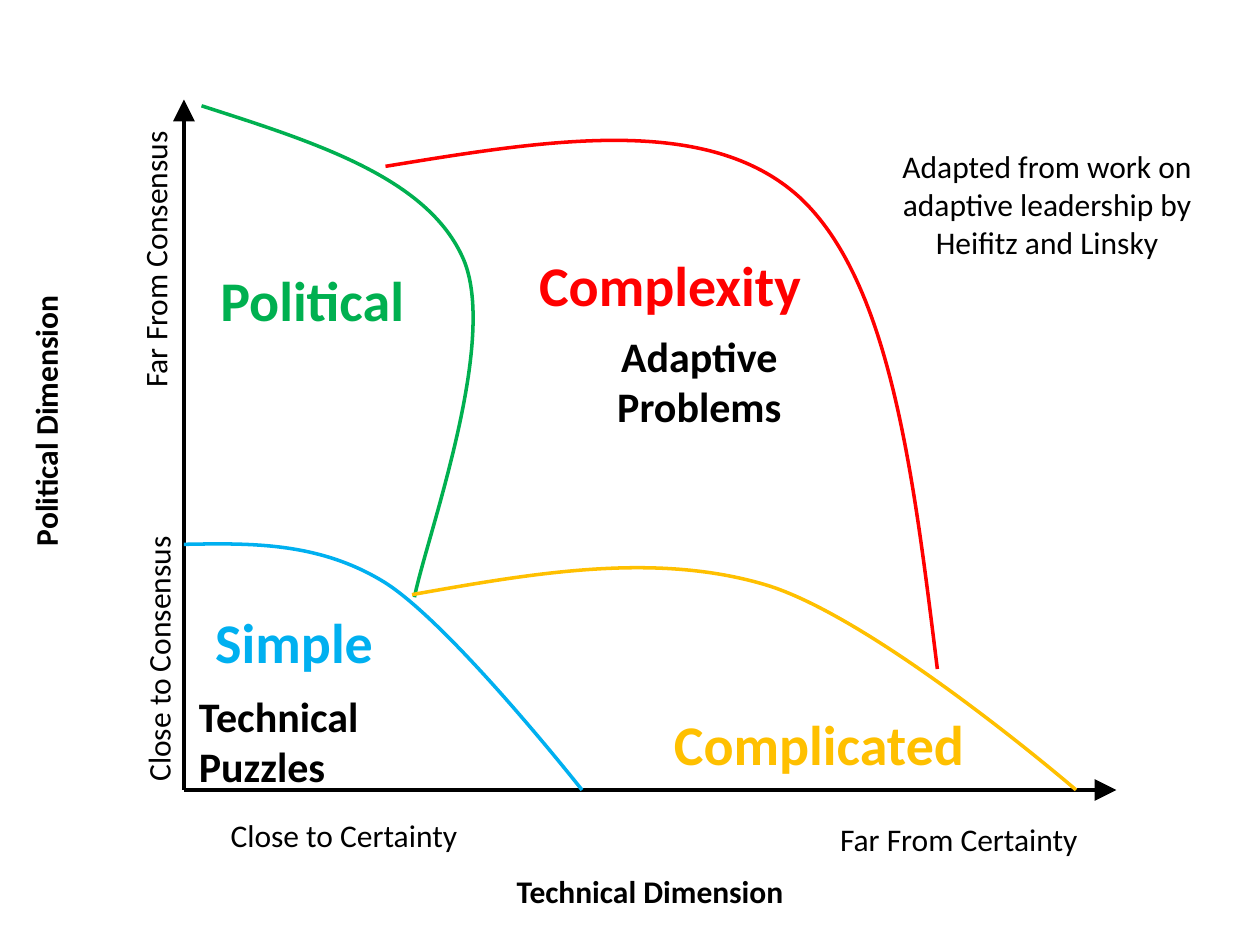
"""Build the slide on political and technical dimensions of problems."""
from lxml.etree import SubElement
from pptx import Presentation
from pptx.dml.color import RGBColor
from pptx.enum.shapes import MSO_CONNECTOR
from pptx.enum.text import MSO_AUTO_SIZE, PP_ALIGN
from pptx.oxml.ns import qn
from pptx.util import Inches, Pt

BLACK, BLUE, GREEN, AMBER, RED = "000000", "00B0F0", "00B050", "FFC000", "FF0000"


def style_line(line, color, width):
    line.color.rgb = RGBColor.from_string(color)
    line.width = Pt(width)


def add_label(page, text, left, top, width, height, size=18, bold=False,
              color=BLACK, align=PP_ALIGN.CENTER, rotation=0):
    box = page.shapes.add_textbox(Inches(left), Inches(top), Inches(width), Inches(height))
    box.rotation = rotation
    frame = box.text_frame
    frame.word_wrap = True
    frame.auto_size = MSO_AUTO_SIZE.SHAPE_TO_FIT_TEXT
    para = frame.paragraphs[0]
    para.alignment = align
    span = para.add_run()
    span.text = text
    span.font.name = "Calibri"
    span.font.size = Pt(size)
    span.font.bold = bold
    span.font.color.rgb = RGBColor.from_string(color)


deck = Presentation()
deck.slide_width, deck.slide_height = Inches(10), Inches(7.5)
page = deck.slides.add_slide(deck.slide_layouts[6])

origin_x, origin_y = 1.46, 6.27
for end_x, end_y in [(origin_x, 0.79), (8.86, origin_y)]:
    axis = page.shapes.add_connector(MSO_CONNECTOR.STRAIGHT, Inches(origin_x),
                                     Inches(origin_y), Inches(end_x), Inches(end_y))
    style_line(axis.line, BLACK, 2.5)
    SubElement(axis.line._get_or_add_ln(), qn("a:tailEnd"), type="triangle", w="lg", len="lg")
    SubElement(axis._element.spPr, qn("a:effectLst"))

boundaries = [
    (BLUE, (1.46, 4.32, 3.16, 1.95),
     [(1.46, 4.32), (1.99, 4.31), (2.53, 4.3), (3.05, 4.62),
      (3.58, 4.95), (4.62, 6.27), (4.62, 6.27)]),
    (GREEN, (1.6, 0.84, 2.16, 3.9),
     [(1.6, 0.84), (2.5, 1.13), (3.4, 1.41), (3.68, 2.06),
      (3.96, 2.72), (3.38, 4.28), (3.29, 4.74)]),
    (AMBER, (3.27, 4.51, 5.27, 1.76),
     [(3.27, 4.72), (4.23, 4.55), (5.19, 4.38), (6.07, 4.64),
      (6.95, 4.9), (8.54, 6.27), (8.54, 6.27)]),
    (RED, (3.06, 1.12, 4.37, 4.19),
     [(3.06, 1.32), (4.34, 1.11), (5.61, 0.9), (6.34, 1.56),
      (7.07, 2.23), (7.25, 3.77), (7.44, 5.31)]),
]
for color, (left, top, width, height), controls in boundaries:
    builder = page.shapes.build_freeform(Inches(left), Inches(top))
    builder.add_line_segments([(Inches(left + width), Inches(top + height))], close=False)
    curve = builder.convert_to_shape()
    outline = next(curve._element.iter(qn("a:path")))
    for command in list(outline):
        outline.remove(command)
    for name, points in [("a:moveTo", controls[:1]), ("a:cubicBezTo", controls[1:4]),
                         ("a:cubicBezTo", controls[4:])]:
        command = SubElement(outline, qn(name))
        for x, y in points:
            SubElement(command, qn("a:pt"), x=str(Inches(x - left)), y=str(Inches(y - top)))
    curve.fill.background()
    curve.shadow.inherit = False
    style_line(curve.line, color, 2)

for text, left, top, width, bold, rotation in [
    ("Far From Certainty", 6.34, 6.46, 2.54, False, 0),
    ("Close to Certainty", 1.46, 6.43, 2.54, False, 0),
    ("Technical Dimension", 3.89, 6.87, 2.54, True, 0),
    ("Political Dimension", -0.91, 3.14, 2.54, True, 270),
    ("Far From Consensus", -0.04, 1.86, 2.54, False, 270),
    ("Close to Consensus", 0.06, 5.03, 2.39, False, 270),
]:
    add_label(page, text, left, top, width, 0.4, bold=bold, rotation=rotation)

add_label(page, "Adapted from work on adaptive leadership by Heifitz and Linsky",
          6.97, 1.12, 2.68, 1.01)

for text, left, top, width, color in [
    ("Simple", 1.61, 4.77, 1.65, BLUE),
    ("Political", 1.65, 2.06, 1.93, GREEN),
    ("Complicated", 5.25, 5.58, 2.51, AMBER),
    ("Complexity", 4.18, 1.94, 2.32, RED),
]:
    add_label(page, text, left, top, width, 0.64, 32, True, color, PP_ALIGN.LEFT)

for text, left, top, align in [
    ("Technical Puzzles", 1.48, 5.43, PP_ALIGN.LEFT),
    ("Adaptive Problems", 4.29, 2.57, PP_ALIGN.CENTER),
]:
    add_label(page, text, left, top, 2.52, 0.91, 24, True, align=align)

deck.save("out.pptx")
